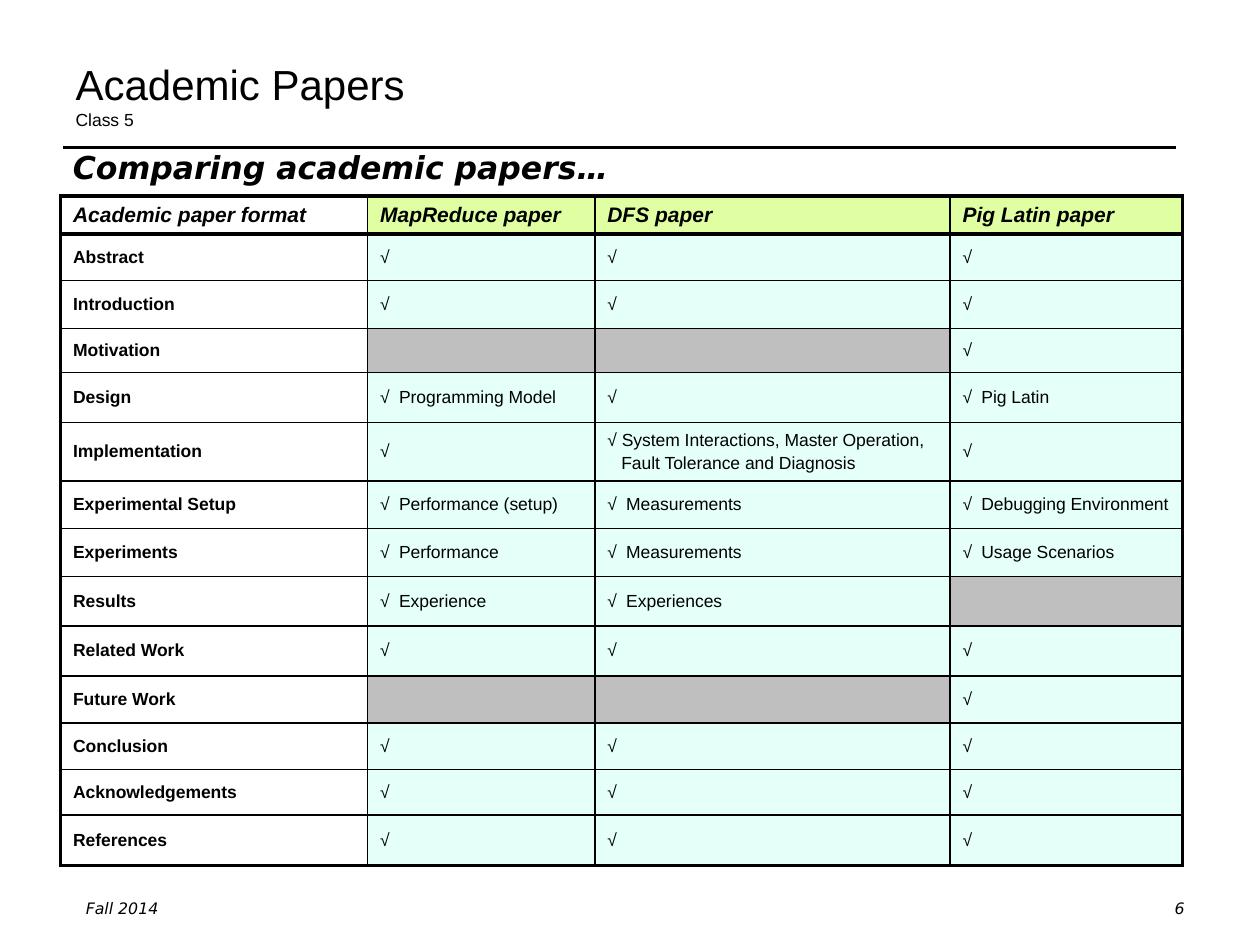
from dataclasses import dataclass
from typing import NamedTuple, Optional

from lxml.etree import SubElement
from pptx import Presentation
from pptx.dml.color import RGBColor
from pptx.enum.shapes import MSO_CONNECTOR
from pptx.enum.text import MSO_ANCHOR, MSO_AUTO_SIZE, PP_ALIGN
from pptx.oxml.ns import qn
from pptx.util import Cm, Pt


class Tint(NamedTuple):
    color: str
    opacity: int = 100


class TextStyle(NamedTuple):
    size: int
    font: str = "Arial"
    bold: bool = False
    italic: bool = False


@dataclass(frozen=True)
class Theme:
    ink: str = "000000"
    header_fill: Tint = Tint("CCFF66", 60)
    label_fill: Tint = Tint("FFFFFF", 20)
    present_fill: Tint = Tint("00FFCC", 10)
    missing_fill: Tint = Tint("BFBFBF")
    title: TextStyle = TextStyle(24)
    subtitle: TextStyle = TextStyle(10)
    heading: TextStyle = TextStyle(18, "DejaVu Sans", True, True)
    footer: TextStyle = TextStyle(9, "DejaVu Sans", False, True)
    table_header: TextStyle = TextStyle(12, "Arial", True, True)
    table_label: TextStyle = TextStyle(10, "Arial", True)
    table_body: TextStyle = TextStyle(10)
    thin: float = 1
    thick: float = 2.25


@dataclass(frozen=True)
class Section:
    """One table row; an empty entry means the paper lacks the section."""
    name: str
    height: float
    entries: tuple[str, str, str]


THEME = Theme()
CHECK = "√"
ALL_PRESENT = (CHECK,) * 3
HEADINGS = ("Academic paper format", "MapReduce paper", "DFS paper", "Pig Latin paper")
HEADER_HEIGHT = 0.76
COLUMN_WIDTHS = (6.19, 4.58, 7.16, 4.69)
SECTIONS = (
    Section("Abstract", 0.94, ALL_PRESENT),
    Section("Introduction", 0.97, ALL_PRESENT),
    Section("Motivation", 0.89, ("", "", CHECK)),
    Section("Design", 1.0, ("√\tProgramming Model", CHECK, "√\tPig Latin")),
    Section("Implementation", 1.18, (
        CHECK,
        "√ System Interactions, Master Operation,\nFault Tolerance and Diagnosis",
        CHECK)),
    Section("Experimental Setup", 0.96, (
        "√\tPerformance (setup)", "√\tMeasurements", "√\tDebugging Environment")),
    Section("Experiments", 0.97, (
        "√\tPerformance", "√\tMeasurements", "√\tUsage Scenarios")),
    Section("Results", 1.0, ("√\tExperience", "√\tExperiences", "")),
    Section("Related Work", 1.0, ALL_PRESENT),
    Section("Future Work", 0.95, ("", "", CHECK)),
    Section("Conclusion", 0.94, ALL_PRESENT),
    Section("Acknowledgements", 0.92, ALL_PRESENT),
    Section("References", 1.02, ALL_PRESENT),
)


def add_span(para, text: str, style: TextStyle) -> None:
    span = para.add_run()
    span.text = text
    span.font.size = Pt(style.size)
    span.font.name = style.font
    span.font.bold = style.bold
    span.font.italic = style.italic
    span.font.color.rgb = RGBColor.from_string(THEME.ink)


def add_label(page, left: float, top: float, width: float, height: float,
              text: str, style: TextStyle, align=PP_ALIGN.LEFT) -> None:
    box = page.shapes.add_textbox(Cm(left), Cm(top), Cm(width), Cm(height))
    box.text_frame.word_wrap = True
    para = box.text_frame.paragraphs[0]
    para.alignment = align
    add_span(para, text, style)


def fill_title(page) -> None:
    title = page.shapes.title
    title.left, title.top, title.width, title.height = Cm(1.27), Cm(0.76), Cm(22.86), Cm(1.98)
    frame = title.text_frame
    frame.auto_size = MSO_AUTO_SIZE.NONE
    frame.vertical_anchor = MSO_ANCHOR.BOTTOM
    para = frame.paragraphs[0]
    para.alignment = PP_ALIGN.LEFT
    add_span(para, "Academic Papers", THEME.title)
    para.add_line_break()
    add_span(para, "Class 5", THEME.subtitle)


def add_rule(page) -> None:
    rule = page.shapes.add_connector(
        MSO_CONNECTOR.STRAIGHT, Cm(1.27), Cm(2.97), Cm(23.7), Cm(2.97))
    rule.line.color.rgb = RGBColor.from_string(THEME.ink)
    rule.line.width = Pt(1.5)
    SubElement(rule._element.spPr, qn("a:effectLst"))


def set_borders(cell, widths: dict[str, float]) -> None:
    properties = cell._tc.get_or_add_tcPr()
    for side, width in widths.items():
        line = SubElement(properties, qn(f"a:ln{side}"), w=str(Pt(width)))
        SubElement(SubElement(line, qn("a:solidFill")), qn("a:srgbClr"), val=THEME.ink)


def set_fill(cell, tint: Optional[Tint]) -> None:
    if tint is None:
        cell.fill.background()
        return
    cell.fill.solid()
    cell.fill.fore_color.rgb = RGBColor.from_string(tint.color)
    if tint.opacity < 100:
        color = cell._tc.tcPr.find(qn("a:solidFill"))[0]
        SubElement(color, qn("a:alpha"), val=str(tint.opacity * 1000))


def write_cell(cell, text: str, style: TextStyle) -> None:
    """Write one paragraph per line, aligned after the check mark."""
    cell.vertical_anchor = MSO_ANCHOR.MIDDLE
    cell.margin_right = Cm(0.2)
    frame = cell.text_frame
    lines = text.split("\n")
    hang = Cm(0.38) if "\t" in text else Cm(0.28) if len(lines) > 1 else 0
    for index, line in enumerate(lines):
        para = frame.add_paragraph() if index else frame.paragraphs[0]
        para.space_before = Pt(style.size * 0.2)
        if hang:
            properties = para._p.get_or_add_pPr()
            properties.set("marL", str(hang))
            properties.set("indent", str(0 if index else -hang))
        if line:
            add_span(para, line, style)
        else:
            SubElement(para._p, qn("a:endParaRPr"), sz=str(style.size * 100))


def cell_look(row: int, column: int, text: str) -> tuple[TextStyle, Optional[Tint]]:
    if row == 0:
        return THEME.table_header, THEME.header_fill if column else None
    if column == 0:
        return THEME.table_label, THEME.label_fill
    return THEME.table_body, THEME.present_fill if text else THEME.missing_fill


def add_comparison(page) -> None:
    rows = [HEADINGS] + [(section.name, *section.entries) for section in SECTIONS]
    heights = [HEADER_HEIGHT] + [section.height for section in SECTIONS]
    table = page.shapes.add_table(
        len(rows), len(HEADINGS), Cm(1.22), Cm(3.95),
        Cm(sum(COLUMN_WIDTHS)), Cm(sum(heights))).table
    table.first_row = table.horz_banding = False
    for column, width in zip(table.columns, COLUMN_WIDTHS):
        column.width = Cm(width)
    last_row, last_column = len(rows) - 1, len(HEADINGS) - 1
    for row, (texts, height) in enumerate(zip(rows, heights)):
        table.rows[row].height = Cm(height)
        for column, text in enumerate(texts):
            cell = table.cell(row, column)
            heavy = {"L": column == 0, "R": column == last_column,
                     "T": row <= 1, "B": row in (0, last_row)}
            style, tint = cell_look(row, column, text)
            set_borders(cell, {side: THEME.thick if is_heavy else THEME.thin
                               for side, is_heavy in heavy.items()})
            set_fill(cell, tint)
            write_cell(cell, text, style)


def main() -> None:
    deck = Presentation()
    deck.slide_width, deck.slide_height = Cm(25.4), Cm(19.05)
    page = deck.slides.add_slide(deck.slide_layouts[5])
    add_rule(page)
    fill_title(page)
    add_label(page, 1.22, 2.85, 17.78, 1.02, "Comparing academic papers…", THEME.heading)
    add_comparison(page)
    add_label(page, 1.48, 17.99, 5.72, 0.64, "Fall 2014", THEME.footer)
    add_label(page, 18.21, 17.99, 5.92, 0.64, "6", THEME.footer, PP_ALIGN.RIGHT)
    deck.save("out.pptx")


if __name__ == "__main__":
    main()
